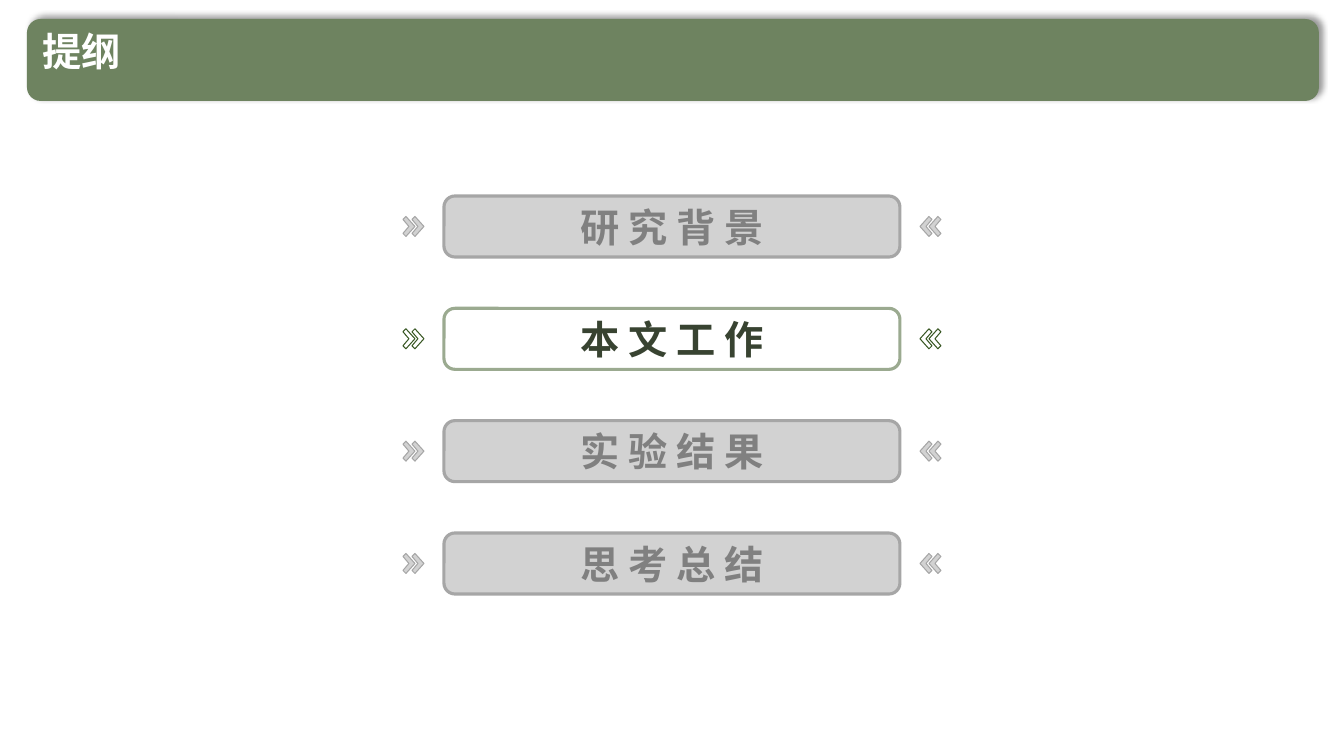
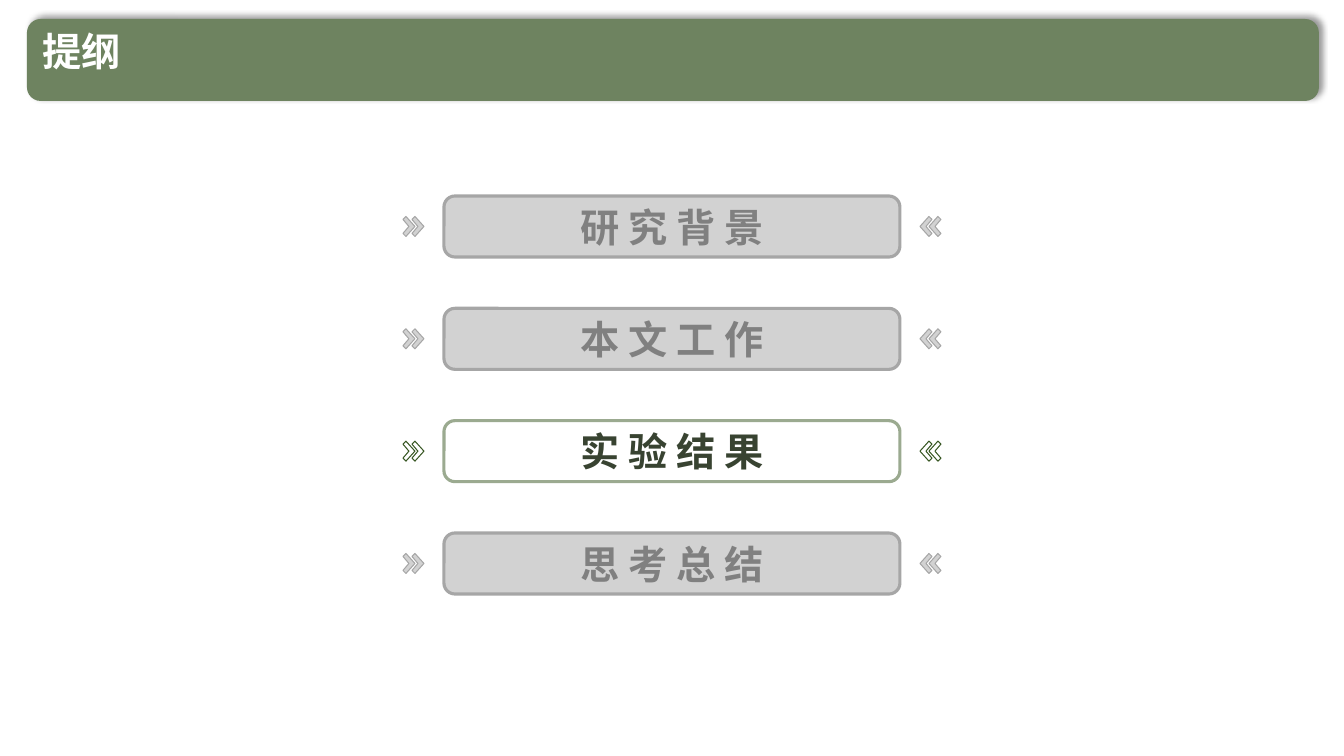
"""Two outline slides, each with one section highlighted."""
import dataclasses
from typing import Optional

import lxml.etree
import pptx
import pptx.dml.color
import pptx.enum.shapes
import pptx.enum.text
import pptx.oxml.ns
import pptx.util

EMU_PER_PIXEL = 914400 / 100.8
SLIDE_WIDTH, SLIDE_HEIGHT = 1344, 756
FONT = "Noto Sans CJK SC"
TEXT_SIZE = 28
BAND_COLOUR = "6E8360"
TITLE_COLOUR = "FFFFFF"

TITLE = "提纲"
SECTIONS = ("研 究 背 景", "本 文 工 作", "实 验 结 果", "思 考 总 结")
HIGHLIGHTED_SECTIONS = (1, 2)

FIRST_TOP, LAST_TOP = 196, 533
SECTION_PITCH = (LAST_TOP - FIRST_TOP) / (len(SECTIONS) - 1)
CHEVRON_LEFTS = (403, 412)
CHEVRON_OUTLINE = ((3, -10), (0, -7), (6, 0), (0, 7), (3, 10), (12, 0))


@dataclasses.dataclass(frozen=True)
class Box:
    """A rectangle in pixels."""
    left: float
    top: float
    width: float
    height: float


@dataclasses.dataclass(frozen=True)
class SectionStyle:
    """Colours of one outline entry."""
    text: str
    border: str
    chevron: str
    fill: Optional[str] = None


BAND = Box(27, 19, 1292, 82)
TITLE_BOX = Box(32, 28, 1116, 62)
MUTED = SectionStyle("808080", "A6A6A6", "A6A6A6", "A6A6A6")
CURRENT = SectionStyle("384331", "9BAA90", "385723")


def px(pixels: float) -> int:
    """Turn pixels into EMU."""
    return round(pixels * EMU_PER_PIXEL)


def colour(hex_code: str) -> pptx.dml.color.RGBColor:
    """Turn a hex string into a colour."""
    return pptx.dml.color.RGBColor.from_string(hex_code)


def sub_element(parent, tag: str, **attributes: str):
    """Append a DrawingML child and return it."""
    return lxml.etree.SubElement(parent, pptx.oxml.ns.qn(tag), attributes)


def format_text(frame, text: str, hex_code: str):
    """Write one bold line and return its paragraph."""
    frame.text = text
    paragraph = frame.paragraphs[0]
    run = paragraph.runs[0]
    run.font.size = pptx.util.Pt(TEXT_SIZE)
    run.font.bold = True
    run.font.color.rgb = colour(hex_code)
    run.font.name = FONT
    sub_element(run.font._element, "a:ea", typeface=FONT)
    return paragraph


def rounded_box(shapes, box: Box):
    """Add a rounded rectangle without a shadow."""
    shape = shapes.add_shape(
        pptx.enum.shapes.MSO_SHAPE.ROUNDED_RECTANGLE,
        px(box.left), px(box.top), px(box.width), px(box.height))
    shape.shadow.inherit = False
    return shape


def paint(shape, fill: Optional[str], border: str, weight: float) -> None:
    """Outline a shape and give it a half-transparent fill or none."""
    shape.line.color.rgb = colour(border)
    shape.line.width = pptx.util.Pt(weight)
    if fill is None:
        shape.fill.background()
        return
    shape.fill.solid()
    shape.fill.fore_color.rgb = colour(fill)
    tint = shape.element.spPr.find(
        "/".join(map(pptx.oxml.ns.qn, ("a:solidFill", "a:srgbClr"))))
    sub_element(tint, "a:alpha", val="50000")


def add_band(slide) -> None:
    """Draw the title band and hand it to the slide's layout."""
    band = rounded_box(slide.shapes, BAND)
    band.fill.solid()
    band.fill.fore_color.rgb = colour(BAND_COLOUR)
    band.line.fill.background()
    effects = band.element.spPr.find(pptx.oxml.ns.qn("a:effectLst"))
    shadow = sub_element(
        effects, "a:outerShdw", blurRad=str(pptx.util.Pt(4)),
        dist=str(pptx.util.Pt(3)), dir=str(315 * 60000), rotWithShape="0")
    tint = sub_element(shadow, "a:srgbClr", val="000000")
    sub_element(tint, "a:alpha", val="40000")
    band.element.nvSpPr.cNvPr.id = 100
    slide.slide_layout.placeholders[0].element.addprevious(band.element)


def add_title(slide) -> None:
    """Place and format the title placeholder."""
    title = slide.shapes.title
    title.left, title.top = px(TITLE_BOX.left), px(TITLE_BOX.top)
    title.width, title.height = px(TITLE_BOX.width), px(TITLE_BOX.height)
    frame = title.text_frame
    frame.auto_size = pptx.enum.text.MSO_AUTO_SIZE.NONE
    frame.vertical_anchor = pptx.enum.text.MSO_ANCHOR.TOP
    paragraph = format_text(frame, TITLE, TITLE_COLOUR)
    paragraph.alignment = pptx.enum.text.PP_ALIGN.LEFT
    paragraph.line_spacing = 0.9


def add_chevron(shapes, left: float, middle: float, mirrored: bool,
                style: SectionStyle) -> None:
    """Draw one chevron, mirrored about the slide's centre if asked."""
    points = []
    for dx, dy in CHEVRON_OUTLINE:
        x = left + dx
        points.append((px(SLIDE_WIDTH - x if mirrored else x), px(middle + dy)))
    builder = shapes.build_freeform(*points[0])
    builder.add_line_segments(points[1:], close=True)
    chevron = builder.convert_to_shape()
    chevron.shadow.inherit = False
    paint(chevron, style.fill, style.chevron, 0.75)


def add_section(slide, index: int, style: SectionStyle) -> None:
    """Draw one outline entry with its chevrons as a group."""
    box = Box(444, FIRST_TOP + index * SECTION_PITCH, 456, 61)
    shapes = slide.shapes.add_group_shape().shapes
    for mirrored in (False, True):
        for left in CHEVRON_LEFTS:
            add_chevron(shapes, left, box.top + box.height / 2, mirrored, style)
    button = rounded_box(shapes, box)
    button.adjustments[0] = 0.18
    paint(button, style.fill, style.border, 2.25)
    button.text_frame.vertical_anchor = pptx.enum.text.MSO_ANCHOR.MIDDLE
    label = format_text(button.text_frame, SECTIONS[index], style.text)
    label.alignment = pptx.enum.text.PP_ALIGN.CENTER


def main() -> None:
    """Build and save the presentation."""
    presentation = pptx.Presentation()
    presentation.slide_width = px(SLIDE_WIDTH)
    presentation.slide_height = px(SLIDE_HEIGHT)
    title_only = presentation.slide_layouts[5]
    for number, highlighted in enumerate(HIGHLIGHTED_SECTIONS):
        slide = presentation.slides.add_slide(title_only)
        if number == 0:
            add_band(slide)
        add_title(slide)
        for index in range(len(SECTIONS)):
            add_section(slide, index, CURRENT if index == highlighted else MUTED)
    presentation.save("out.pptx")


main()
